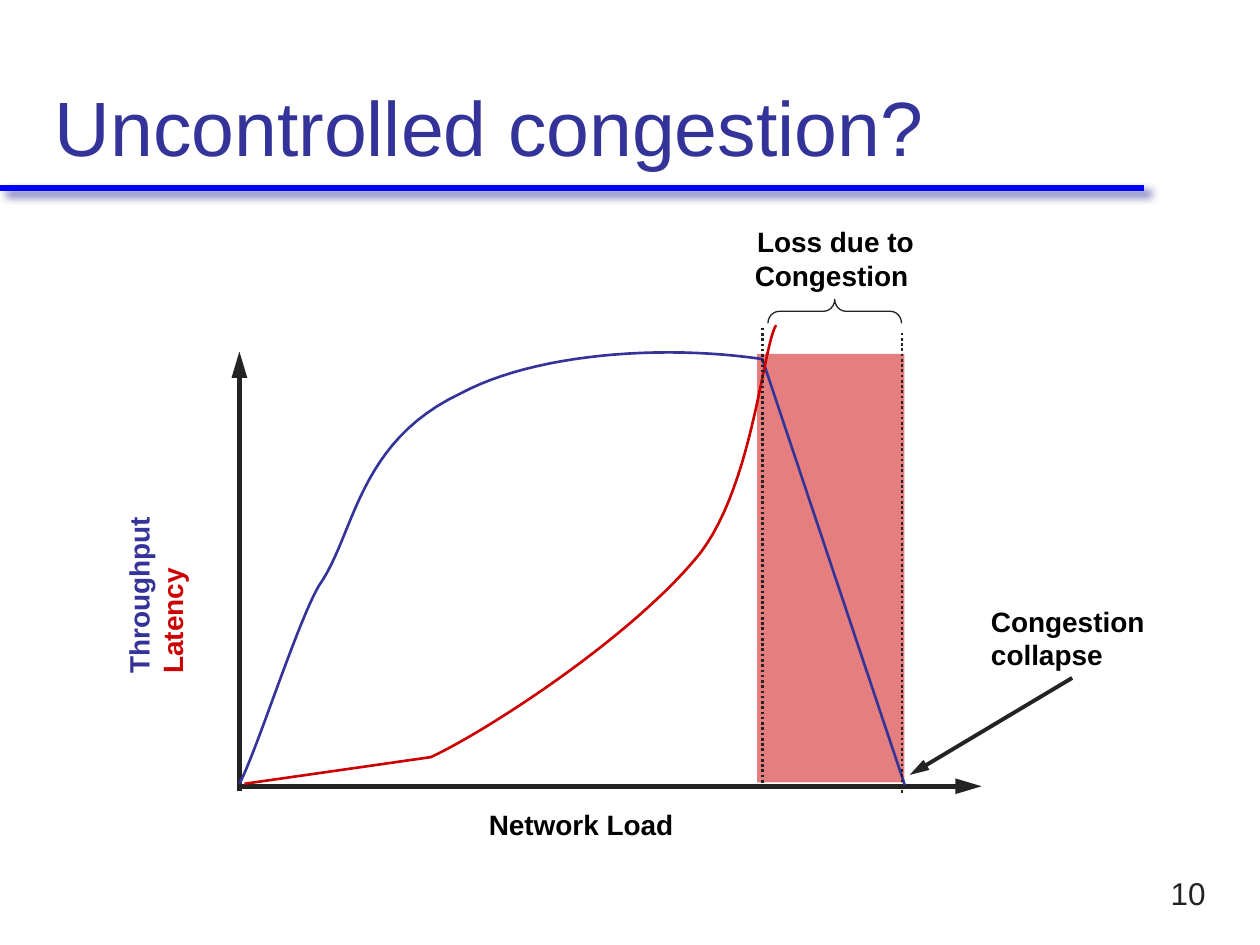
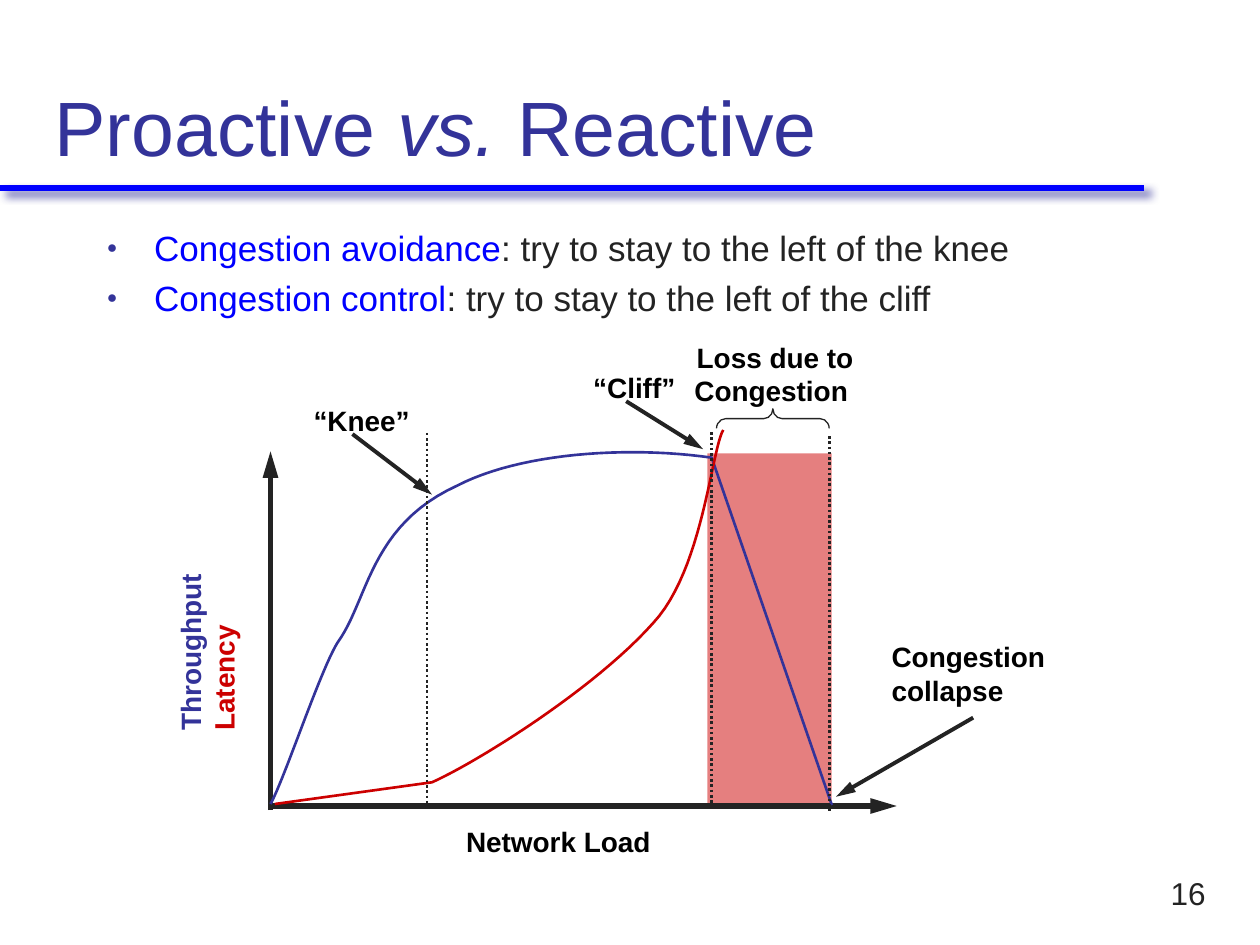
from lxml.etree import SubElement
from pptx import Presentation
from pptx.dml.color import RGBColor
from pptx.enum.dml import MSO_LINE
from pptx.enum.shapes import MSO_CONNECTOR, MSO_SHAPE
from pptx.enum.text import MSO_ANCHOR, MSO_AUTO_SIZE, PP_ALIGN
from pptx.oxml.ns import qn
from pptx.util import Pt

# Shared look
FONT = "Arial"
NAVY, BLUE, RED, INK, BLACK = "333399", "0000FF", "CC0000", "232323", "000000"

# Diagram, in points right of and above the origin of the axes
AXIS_LENGTHS = (424.1, 248.4)
AXES = [((0, -2.9), (0, AXIS_LENGTHS[1])), ((-0.7, 0), (AXIS_LENGTHS[0], 0))]
LOSS_AREA = (295.9, 247, 84.2, 244.8)  # left, top, width, height
LOSS_BRACE = (340.2, 271.4, 76.3, 13.7)  # centre x, centre y, width, height
CLIFF_LINE = ((298.8, 262), (298.8, -1.4))
COLLAPSE_LINE = ((378.7, 259.2), (378.7, -3.6))
KNEE_LINE = ((105.9, 261.5), (105.9, -1.8))
COLLAPSE_ARROW = ((475.9, 61.9), (383, 6.5))
KNEE_ARROW = ((55.5, 260.6), (109.3, 218.2))
CLIFF_ARROW = ((240.9, 283.6), (293, 250))

# Curves: a start point, then segments of one point (line) or three (Bézier)
THROUGHPUT = [
    [(0, 1.4)],
    [(9.4, 18.7), (33.1, 93.6), (45.4, 114.5)],
    [(66.2, 144), (67, 196.6), (126.7, 224.6)],
    [(168.5, 247), (240.5, 252.7), (298.8, 244.1)],
    [(380.2, 0.7)],
]
LATENCY = [
    [(2.9, 1.4)],
    [(109.4, 16.6)],
    [(140.4, 31), (219.6, 82.1), (259.2, 128.2)],
    [(293, 165.6), (298.8, 250.6), (306.7, 263.5)],
]

# Labels: lines with their colour, width, height, format
LABELS = {
    "load": ([("Network Load", BLACK)], 120, 26.6, {}),
    "curves": ([("Throughput", NAVY), ("Latency", RED)], 104.4, 46, {"rotation": 270}),
    "collapse": ([("Congestion", BLACK), ("collapse", BLACK)], 106.6, 46, {}),
    "loss": ([("Loss due to", BLACK), ("Congestion ", BLACK)], 108, 65.5,
             {"align": PP_ALIGN.CENTER}),
    "knee": ([("“Knee”", BLACK)], 69.8, 26.6, {}),
    "cliff": ([("“Cliff”", BLACK)], 61.9, 26.6, {}),
}

SLIDES = [
    {
        "title": [("Uncontrolled congestion?", False)],
        "number": "10",
        "bullets": [],
        "origin": (136.8, 449.3),
        "axis_lengths": AXIS_LENGTHS,
        "dotted": [CLIFF_LINE, COLLAPSE_LINE],
        "arrows": [COLLAPSE_ARROW],
        "labels": {"load": (272.2, 457.9), "curves": (36.7, 316.8),
                   "collapse": (559.2, 341.8), "loss": (423.4, 124.9)},
    },
    {
        "title": [("Proactive ", False), ("vs.", True), (" Reactive", False)],
        "number": "16",
        "bullets": [("Congestion avoidance", ": try to stay to the left of the knee"),
                    ("Congestion control", ": try to stay to the left of the cliff")],
        "origin": (154.6, 460.6),
        "axis_lengths": (357.8, 202.6),
        "dotted": [CLIFF_LINE, KNEE_LINE, COLLAPSE_LINE],
        "arrows": [KNEE_ARROW, CLIFF_ARROW, COLLAPSE_ARROW],
        "labels": {"load": (259.2, 467.6), "curves": (66.2, 349.4),
                   "collapse": (502.4, 362), "loss": (388.9, 190.8),
                   "knee": (172.1, 226.8), "cliff": (331.9, 208.1)},
    },
]


def color(value):
    return RGBColor.from_string(value)


def write(paragraph, text, size=16, ink=BLACK, bold=False, italic=False):
    run = paragraph.add_run()
    run.text = text
    font = run.font
    font.name, font.size, font.bold, font.italic = FONT, Pt(size), bold, italic
    font.color.rgb = color(ink)


def add_text_box(slide, left, top, width, height, wrap=False, anchor=MSO_ANCHOR.TOP):
    box = slide.shapes.add_textbox(Pt(left), Pt(top), Pt(width), Pt(height))
    box.text_frame.word_wrap = wrap
    box.text_frame.vertical_anchor = anchor
    return box


def nth_paragraph(frame, index):
    return frame.add_paragraph() if index else frame.paragraphs[0]


def add_line(slide, start, end, ink=INK, width=1.5, dotted=False, arrow=False):
    line = slide.shapes.add_connector(
        MSO_CONNECTOR.STRAIGHT, *(Pt(value) for value in (*start, *end)))
    line.line.color.rgb = color(ink)
    line.line.width = Pt(width)
    if dotted:
        line.line.dash_style = MSO_LINE.ROUND_DOT
    properties = line._element.spPr
    if arrow:
        SubElement(properties.find(qn("a:ln")), qn("a:tailEnd"),
                   type="triangle", w="med", len="lg")
    return SubElement(properties, qn("a:effectLst"))


def curve_points(segments, steps=24):
    points = list(segments[0])
    for segment in segments[1:]:
        if len(segment) == 1:
            points += segment
            continue
        corners = [points[-1], *segment]
        for step in range(1, steps + 1):
            t = step / steps
            weights = ((1 - t) ** 3, 3 * t * (1 - t) ** 2, 3 * t * t * (1 - t), t ** 3)
            points.append(tuple(
                sum(weight * corner[axis] for weight, corner in zip(weights, corners))
                for axis in (0, 1)))
    return points


def add_diagram(slide, content):
    origin_x, origin_y = content["origin"]
    scale_x, scale_y = (
        length / base for length, base in zip(content["axis_lengths"], AXIS_LENGTHS))

    def place(point):
        return origin_x + point[0] * scale_x, origin_y - point[1] * scale_y

    # Loss area
    left, top, width, height = LOSS_AREA
    x, y = place((left, top))
    area = slide.shapes.add_shape(
        MSO_SHAPE.RECTANGLE, Pt(x), Pt(y), Pt(width * scale_x), Pt(height * scale_y))
    area.shadow.inherit = False
    area.fill.solid()
    area.fill.fore_color.rgb = color(RED)
    SubElement(next(area._element.spPr.iter(qn("a:srgbClr"))), qn("a:alpha"), val="50000")
    area.line.fill.background()

    # Axes, curves, markers and arrows
    for start, end in AXES:
        add_line(slide, place(start), place(end), width=3, arrow=True)
    for segments, ink in ((THROUGHPUT, NAVY), (LATENCY, RED)):
        points = [tuple(Pt(value) for value in place(point))
                  for point in curve_points(segments)]
        builder = slide.shapes.build_freeform(*points[0])
        builder.add_line_segments(points[1:], close=False)
        curve = builder.convert_to_shape()
        curve.shadow.inherit = False
        curve.fill.background()
        curve.line.color.rgb = color(ink)
        curve.line.width = Pt(1.5)
    for start, end in content["dotted"]:
        add_line(slide, place(start), place(end), dotted=True)
    for start, end in content["arrows"]:
        add_line(slide, place(start), place(end), width=2.25, arrow=True)

    # Brace, turned to open downwards
    x, y = place(LOSS_BRACE[:2])
    length, depth = LOSS_BRACE[2] * scale_x, LOSS_BRACE[3] * scale_y
    brace = slide.shapes.add_shape(
        MSO_SHAPE.LEFT_BRACE, Pt(x - depth / 2), Pt(y - length / 2), Pt(depth), Pt(length))
    brace.rotation = 90
    brace.adjustments[0] = 0.47
    brace.shadow.inherit = False
    brace.fill.background()
    brace.line.color.rgb = color(INK)
    brace.line.width = Pt(0.75)

    # Labels
    for name, (left, top) in content["labels"].items():
        lines, width, height, style = LABELS[name]
        box = add_text_box(slide, left, top, width, height)
        box.rotation = style.get("rotation", 0)
        for index, (text, ink) in enumerate(lines):
            paragraph = nth_paragraph(box.text_frame, index)
            paragraph.alignment = style.get("align", PP_ALIGN.LEFT)
            write(paragraph, text, ink=ink, bold=True)


def add_frame(slide, content):
    # Rule with its soft shadow
    effects = add_line(slide, (0, 107.3), (653.8, 107.3), ink=BLUE, width=3.5)
    shadow = SubElement(effects, qn("a:outerShdw"), blurRad=str(Pt(5)),
                        dist=str(Pt(4.2)), dir="2700000", algn="ctr", rotWithShape="0")
    shadow_color = SubElement(shadow, qn("a:srgbClr"), val=NAVY)
    SubElement(shadow_color, qn("a:alpha"), val="75000")

    # Title
    title = slide.shapes.title
    title.left, title.top, title.width, title.height = Pt(24), Pt(12), Pt(672), Pt(90)
    frame = title.text_frame
    frame.auto_size = MSO_AUTO_SIZE.NONE
    frame.vertical_anchor = MSO_ANCHOR.BOTTOM
    frame.paragraphs[0].alignment = PP_ALIGN.LEFT
    for text, italic in content["title"]:
        write(frame.paragraphs[0], text, size=44, ink=NAVY, italic=italic)

    # Slide number
    box = add_text_box(slide, 648, 492, 48, 36, anchor=MSO_ANCHOR.MIDDLE)
    paragraph = box.text_frame.paragraphs[0]
    paragraph.alignment = PP_ALIGN.RIGHT
    write(paragraph, content["number"], size=18, ink=INK)


def add_bullets(slide, bullets):
    box = add_text_box(slide, 54, 125.7, 624, 75.6, wrap=True)
    for index, (term, explanation) in enumerate(bullets):
        paragraph = nth_paragraph(box.text_frame, index)
        if index:
            paragraph.space_before = Pt(4.5)
        properties = paragraph._p.get_or_add_pPr()
        properties.set("marL", str(Pt(27)))
        properties.set("indent", str(-Pt(27)))
        SubElement(SubElement(properties, qn("a:buClr")), qn("a:srgbClr"), val=NAVY)
        SubElement(properties, qn("a:buSzPct"), val="50000")
        SubElement(properties, qn("a:buFont"), typeface=FONT)
        SubElement(properties, qn("a:buChar"), char="●")
        write(paragraph, term, size=20, ink=BLUE)
        write(paragraph, explanation, size=20, ink=INK)


def main():
    presentation = Presentation()
    presentation.slide_width, presentation.slide_height = Pt(720), Pt(540)
    for content in SLIDES:
        slide = presentation.slides.add_slide(presentation.slide_layouts[5])
        add_frame(slide, content)
        if content["bullets"]:
            add_bullets(slide, content["bullets"])
        add_diagram(slide, content)
    presentation.save("out.pptx")


if __name__ == "__main__":
    main()
